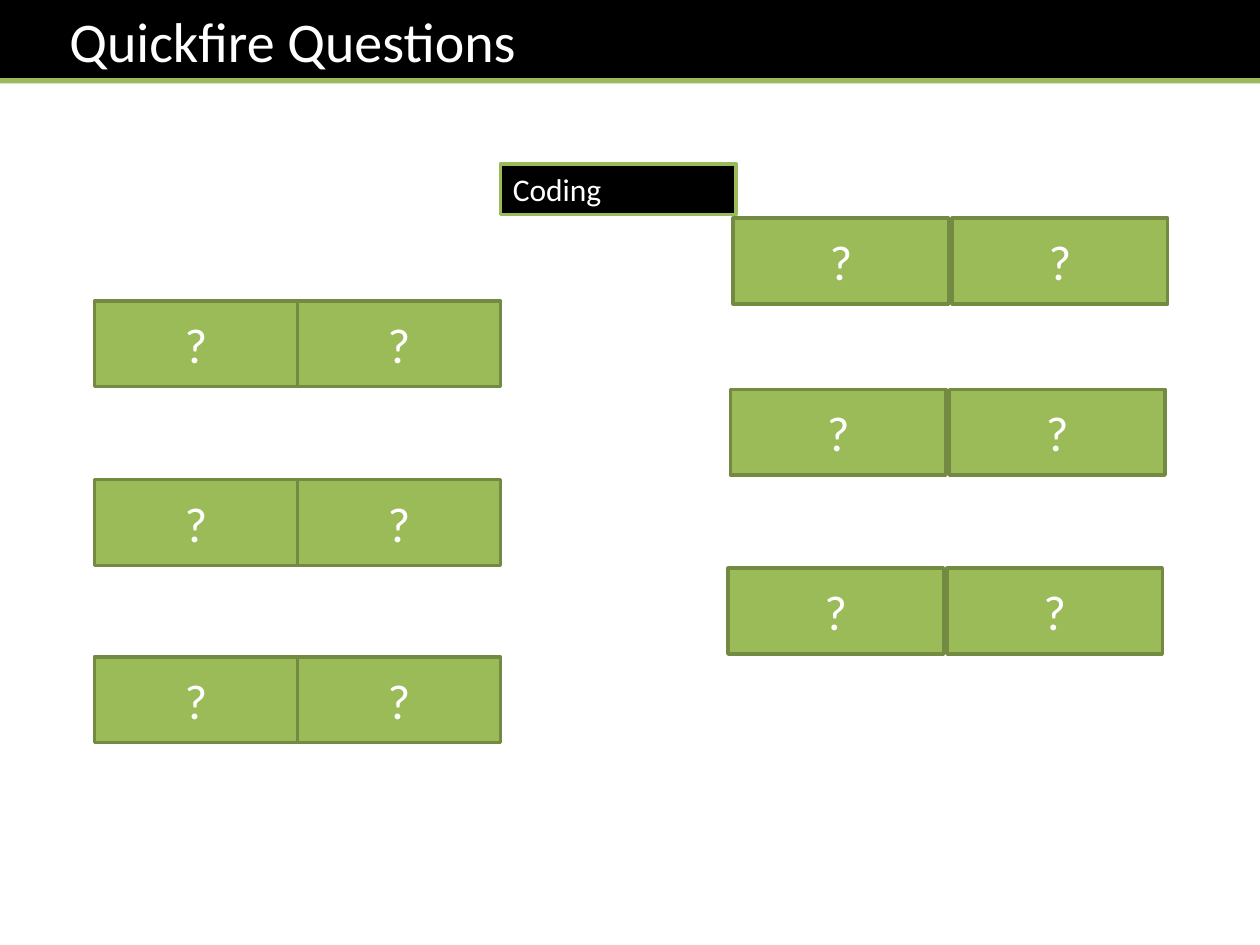
from dataclasses import dataclass
from lxml import etree
from pptx import Presentation
from pptx.dml.color import RGBColor
from pptx.enum.shapes import MSO_CONNECTOR as Connector, MSO_SHAPE as Shape
from pptx.enum.text import MSO_ANCHOR as Anchor, PP_ALIGN as Align
from pptx.oxml.ns import qn
from pptx.util import Pt


@dataclass(frozen=True)
class Theme:
    font: str = "Calibri"
    black: str = "000000"
    white: str = "FFFFFF"
    green: str = "9BBB59"
    dark_green: str = "738A42"
    title_size: float = 32
    question_size: float = 28
    topic_size: float = 18


THEME = Theme()


@dataclass(frozen=True)
class Box:
    left: float
    top: float
    width: float
    height: float


def color(code):
    return RGBColor.from_string(code)


def add_panel(page, box, fill, line=None):
    panel = page.shapes.add_shape(
        Shape.RECTANGLE, Pt(box.left), Pt(box.top), Pt(box.width), Pt(box.height)
    )
    panel.shadow.inherit = False
    panel.fill.solid()
    panel.fill.fore_color.rgb = color(fill)
    if line:
        panel.line.color.rgb = color(line)
        panel.line.width = Pt(2)
    else:
        panel.line.fill.background()
    return panel


def write(panel, text, size, align=Align.LEFT, anchor=Anchor.TOP, inset=7.2):
    frame = panel.text_frame
    frame.word_wrap = True
    frame.vertical_anchor = anchor
    frame.margin_left = Pt(inset)
    para = frame.paragraphs[0]
    para.alignment = align
    span = para.add_run()
    span.text = text
    span.font.name = THEME.font
    span.font.size = Pt(size)
    span.font.color.rgb = color(THEME.white)


def add_header(page, box, title):
    banner = add_panel(page, box, THEME.black)
    write(banner, title, THEME.title_size, inset=39.7)
    level = Pt(box.top + box.height - 1.5)
    rule = page.shapes.add_connector(
        Connector.STRAIGHT, Pt(box.left), level, Pt(box.left + box.width), level
    )
    rule.line.color.rgb = color(THEME.green)
    rule.line.width = Pt(3)
    etree.SubElement(rule._element.spPr, qn("a:effectLst"))


def add_topic(page, box, topic):
    label = add_panel(page, box, THEME.black, THEME.green)
    write(label, topic, THEME.topic_size)


def add_question_pair(page, box, gap):
    width = (box.width - gap) / 2
    for column in range(2):
        left = box.left + column * (width + gap)
        card = add_panel(
            page, Box(left, box.top, width, box.height), THEME.green, THEME.dark_green
        )
        write(card, "?", THEME.question_size, Align.CENTER, Anchor.MIDDLE)


def main():
    deck = Presentation()
    deck.slide_width, deck.slide_height = Pt(720), Pt(540)
    page = deck.slides.add_slide(deck.slide_layouts[6])
    add_header(page, Box(0, 0, 720, 47.5), "Quickfire Questions")
    add_topic(page, Box(286, 93.6, 134.6, 29), "Coding")
    for left, top in ((419, 124.6), (417.5, 222.5), (416, 324.7)):
        add_question_pair(page, Box(left, top, 248.2, 49), gap=2)
    for top in (172, 274.1, 375.3):
        add_question_pair(page, Box(54, top, 232, 49), gap=0)
    deck.save("out.pptx")


if __name__ == "__main__":
    main()
